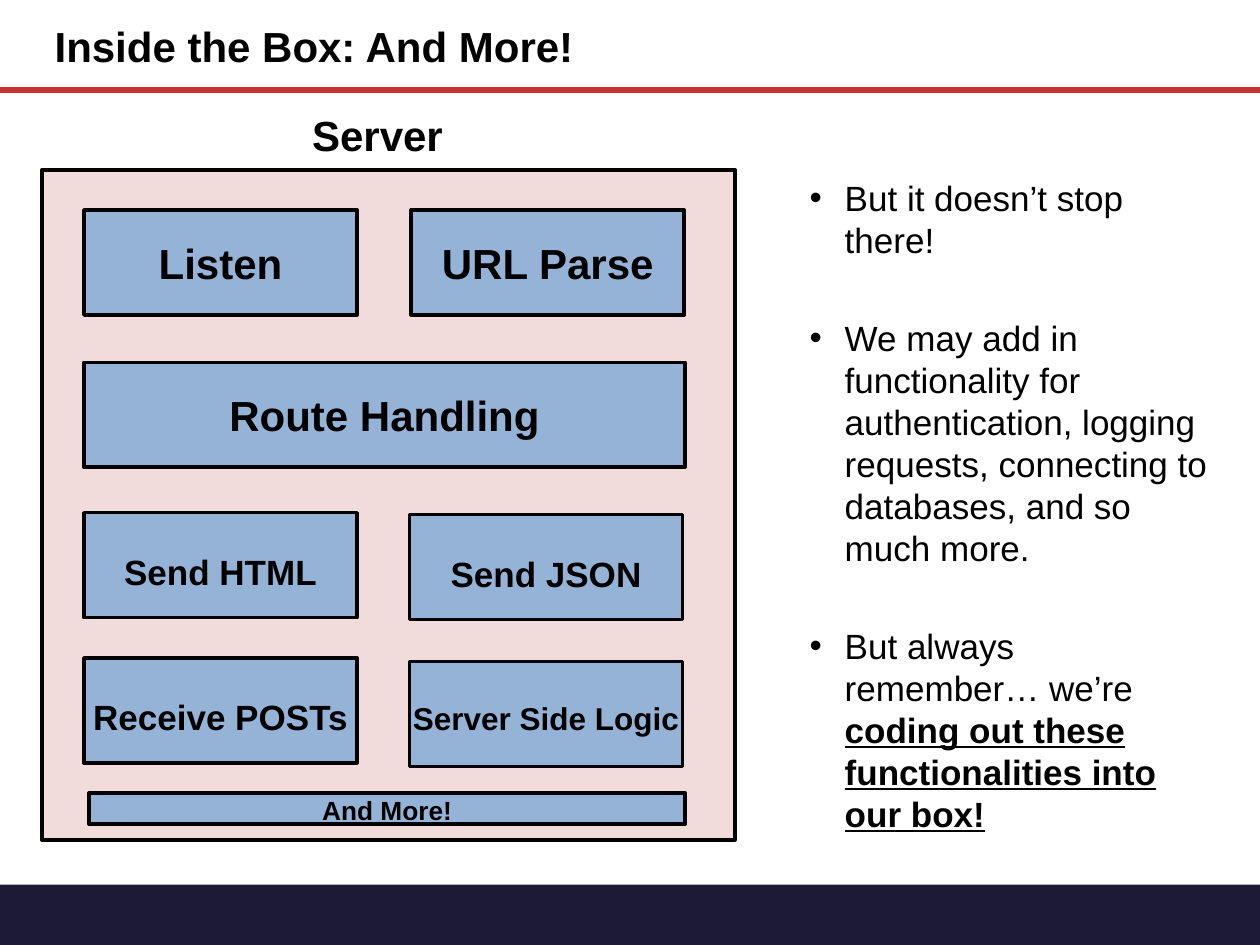
from lxml import etree
from pptx import Presentation
from pptx.dml.color import RGBColor
from pptx.enum import shapes, text
from pptx.oxml.ns import qn
from pptx.util import Pt

BLACK = RGBColor(0, 0, 0)
NAVY = RGBColor(0x1D, 0x1A, 0x36)
RED = RGBColor(0xC8, 0x32, 0x32)
PINK = RGBColor(0xF2, 0xDC, 0xDB)
BLUE = RGBColor(0x95, 0xB3, 0xD7)
FONT = "Arial"

TITLE = "Inside the Box: And More!"
SERVER = "Server"
# Each point is a list of (wording, emphasised)
POINTS = [
    [("But it doesn’t stop there!", False)],
    [("We may add in functionality for authentication, logging requests, "
      "connecting to databases, and so much more.", False)],
    [("But always remember… we’re ", False),
     ("coding out these functionalities into our box!", True)],
]

LEFT, RIGHT, HALF, FULL = 48, 235, 156, 343.5
TALL = 60
# wording, font size, (left, top, width, height), top inset
MODULES = [
    ("Listen", 24, (LEFT, 120, HALF, TALL), 0),
    ("URL Parse", 24, (RIGHT, 120, HALF, TALL), 0),
    ("Route Handling", 24, (LEFT, 207, FULL, TALL), 0),
    ("Send HTML", 20, (LEFT, 293, HALF, TALL), 7),
    ("Send JSON", 20, (RIGHT - 1, 294, HALF, TALL), 7),
    ("Receive POSTs", 20, (LEFT, 376, HALF, TALL), 7),
    ("Server Side Logic", 18, (RIGHT - 1, 378, HALF, TALL), 4),
    ("And More!", 15, (51, 453, 340.5, 18), 2),
]


def place(shape, left, top, width, height):
    shape.left, shape.top = Pt(left), Pt(top)
    shape.width, shape.height = Pt(width), Pt(height)


def style(paragraph, size, bold, align):
    paragraph.alignment = align
    font = paragraph.font
    font.name, font.size, font.bold = FONT, Pt(size), bold
    font.color.rgb = BLACK


def add_box(slide, area, fill, outlined=True):
    box = slide.shapes.add_shape(shapes.MSO_SHAPE.RECTANGLE, *map(Pt, area))
    box.shadow.inherit = False
    box.fill.solid()
    box.fill.fore_color.rgb = fill
    if outlined:
        box.line.color.rgb = BLACK
        box.line.width = Pt(2)
    else:
        box.line.fill.background()
    return box


def add_module(slide, wording, size, area, inset):
    frame = add_box(slide, area, BLUE).text_frame
    frame.word_wrap = False
    frame.margin_left = frame.margin_right = frame.margin_bottom = 0
    frame.margin_top = Pt(inset)
    frame.vertical_anchor = text.MSO_ANCHOR.MIDDLE
    frame.text = wording
    style(frame.paragraphs[0], size, True, text.PP_ALIGN.CENTER)


def add_frame_lines(slide):
    """Red rule below the title and dark band along the bottom."""
    add_box(slide, (0, 505.5, 720, 34.5), NAVY, outlined=False)
    rule = slide.shapes.add_connector(
        shapes.MSO_CONNECTOR.STRAIGHT, 0, Pt(51.5), Pt(720), Pt(51.5))
    rule.line.color.rgb = RED
    rule.line.width = Pt(3.25)
    etree.SubElement(rule._element.spPr, qn("a:effectLst"))


def fill_title(title):
    place(title, 24, 8, 414, 36)
    frame = title.text_frame
    frame.text = TITLE
    frame.vertical_anchor = text.MSO_ANCHOR.MIDDLE
    style(frame.paragraphs[0], 24, True, text.PP_ALIGN.LEFT)


def fill_points(body):
    place(body, 455.5, 97, 245.5, 383)
    frame = body.text_frame
    frame.auto_size = text.MSO_AUTO_SIZE.NONE
    for i, point in enumerate(POINTS):
        paragraph = frame.add_paragraph() if i else frame.paragraphs[0]
        style(paragraph, 20, False, text.PP_ALIGN.LEFT)
        paragraph.line_spacing = Pt(24)
        paragraph.space_before = Pt(32 if i else 4)
        properties = paragraph._p.get_or_add_pPr()
        properties.set("marL", str(Pt(20)))
        properties.set("indent", str(-Pt(20)))
        for wording, emphasised in point:
            run = paragraph.add_run()
            run.text = wording
            if emphasised:
                run.font.bold = run.font.underline = True


def main():
    deck = Presentation()
    deck.slide_width, deck.slide_height = Pt(720), Pt(540)
    slide = deck.slides.add_slide(deck.slide_layouts[1])
    add_frame_lines(slide)
    fill_title(slide.shapes.title)
    fill_points(slide.placeholders[1])

    add_box(slide, (24, 97, 396, 383), PINK)
    label = slide.shapes.add_textbox(Pt(81.5), Pt(57), Pt(268.5), Pt(40))
    label.text_frame.word_wrap = True
    label.text_frame.vertical_anchor = text.MSO_ANCHOR.MIDDLE
    label.text_frame.text = SERVER
    style(label.text_frame.paragraphs[0], 24, True, text.PP_ALIGN.CENTER)
    for module in MODULES:
        add_module(slide, *module)
    deck.save("out.pptx")


if __name__ == "__main__":
    main()
